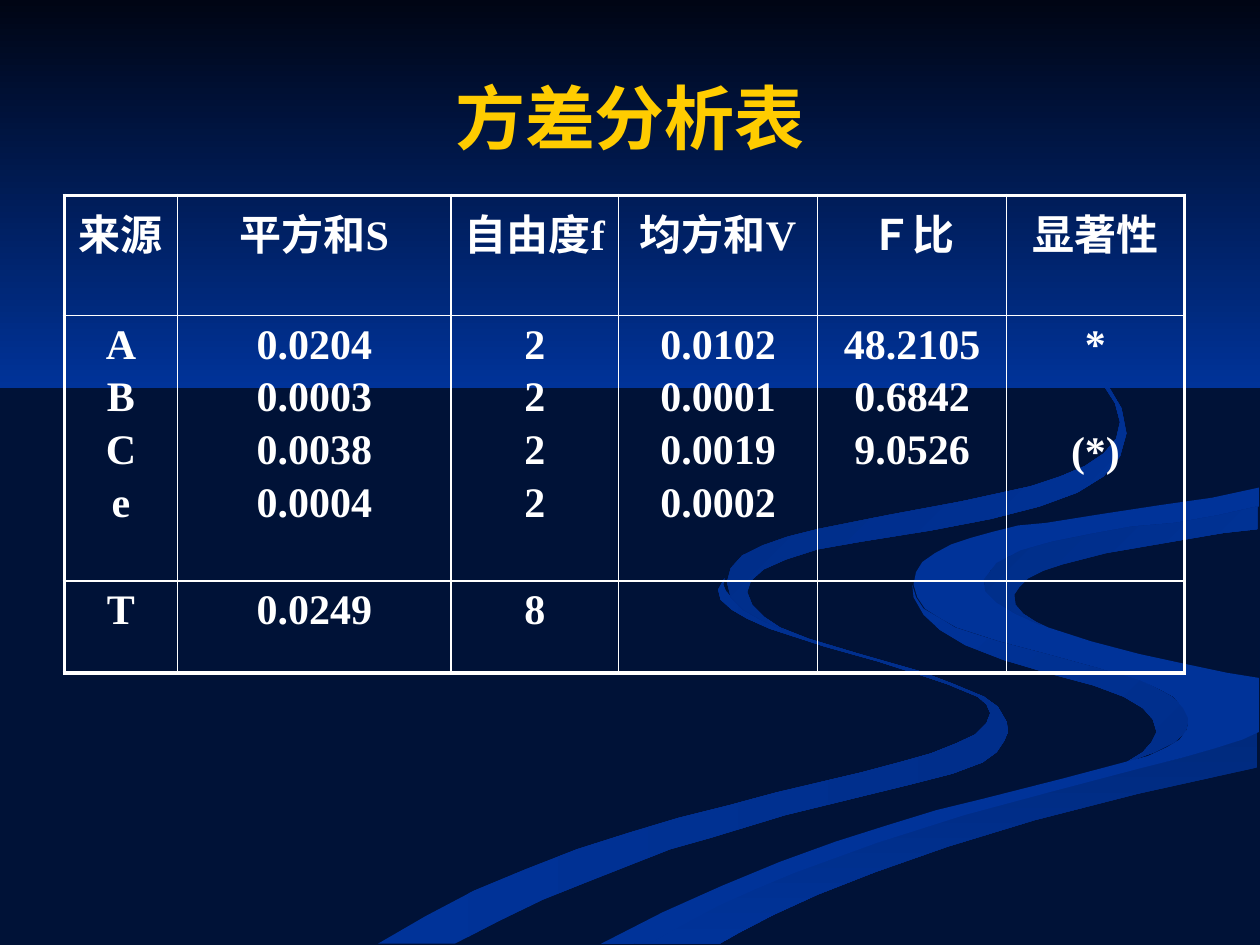
from lxml import etree
from pptx import Presentation
from pptx.dml.color import RGBColor
from pptx.enum.text import MSO_ANCHOR, PP_ALIGN
from pptx.oxml.ns import qn
from pptx.util import Inches, Pt

CENTER, MIDDLE = PP_ALIGN.CENTER, MSO_ANCHOR.MIDDLE
FONT = "Times New Roman"
HEX = {"navy": "001237", "blue": "003399", "deep": "002E8B", "dusk": "002A7D",
       "shade": "002D86", "dim": "002B82", "night": "000514",
       "gold": "FFCC00", "white": "FFFFFF"}

# Content
TITLE = "方差分析表"
ROWS = [
    [["来源"], ["平方和S"], ["自由度f"], ["均方和V"], ["Ｆ比"], ["显著性"]],
    [["A", "B", "C", "e"], ["0.0204", "0.0003", "0.0038", "0.0004"],
     ["2", "2", "2", "2"], ["0.0102", "0.0001", "0.0019", "0.0002"],
     ["48.2105", "0.6842", "9.0526"], ["*", "", "(*)"]],
    [["T"], ["0.0249"], ["8"], [], [], []],
]
WIDTHS = [0.9, 2.17, 1.33, 1.58, 1.5, 1.41]
HEIGHTS = [0.62, 2.11, 0.73]
THIN, THICK = 1, 2.25
GAP, LINE = 3.7, 27.6  # points between and per line of table text

# Backdrop shapes: outline, colours from first to last, clockwise angle
STREAM = [
    (7.81, 5.53), (7.57, 5.43), (7.31, 5.33), (6.82, 5.19), (6.42, 5.07),
    (6.14, 4.96), (5.94, 4.85), (5.83, 4.77), (5.76, 4.69), (5.74, 4.64),
    (5.75, 4.59), (5.7, 4.68), (5.72, 4.76), (5.81, 4.84), (5.93, 4.91),
    (6.11, 4.99), (6.54, 5.13), (6.97, 5.25), (7.28, 5.35), (7.52, 5.43),
    (7.76, 5.53), (7.83, 5.59), (7.86, 5.66), (7.83, 5.74), (7.74, 5.83),
    (7.59, 5.9), (7.39, 5.98), (7.14, 6.05), (6.84, 6.13), (6.16, 6.29),
    (5.79, 6.39), (5.39, 6.49), (4.99, 6.61), (4.58, 6.74), (4.17, 6.9),
    (3.76, 7.07), (3.38, 7.27), (3, 7.49), (3.61, 7.49), (3.96, 7.31),
    (4.31, 7.14), (4.66, 7), (4.99, 6.87), (5.32, 6.74), (5.64, 6.65),
    (6.23, 6.47), (6.76, 6.34), (7.21, 6.23), (7.56, 6.14), (7.8, 6.05),
    (7.91, 5.97), (7.97, 5.88), (8, 5.81), (7.99, 5.73), (7.92, 5.61)]
INNER = [
    (9.43, 5.7), (9.39, 5.62), (9.3, 5.53), (9.19, 5.47), (9.05, 5.4),
    (8.7, 5.3), (8.3, 5.19), (7.92, 5.09), (7.58, 4.98), (7.45, 4.9),
    (7.33, 4.83), (7.27, 4.74), (7.24, 4.64), (7.25, 4.74), (7.33, 4.88),
    (7.46, 5), (7.66, 5.12), (7.97, 5.24), (8.38, 5.36), (8.68, 5.44),
    (8.92, 5.53), (9.07, 5.62), (9.15, 5.71), (9.18, 5.81), (9.14, 5.89),
    (9.07, 5.97), (8.94, 6.05), (9.16, 5.97), (9.32, 5.89), (9.41, 5.81)]
LOWER = [
    (5.19, 7.47), (5.03, 7.49), (5.71, 7.49), (5.87, 7.4), (6.14, 7.26),
    (6.49, 7.1), (6.95, 6.92), (7.52, 6.72), (8.21, 6.51), (9.03, 6.3),
    (9.98, 6.09), (9.98, 5.81), (9.85, 5.87), (9.63, 5.94), (9.36, 6.02),
    (9.03, 6.1), (8.31, 6.29), (7.64, 6.47), (6.96, 6.69), (6.3, 6.93),
    (5.99, 7.06), (5.69, 7.19), (5.43, 7.33)]
RIVER = [
    (7.25, 4.64), (7.28, 4.74), (7.34, 4.83), (7.45, 4.9), (7.59, 4.98),
    (7.93, 5.09), (8.31, 5.19), (8.71, 5.3), (9.05, 5.4), (9.2, 5.47),
    (9.31, 5.53), (9.39, 5.62), (9.43, 5.7), (9.42, 5.79), (9.36, 5.87),
    (9.26, 5.93), (9.11, 6), (8.92, 6.05), (8.43, 6.18), (7.8, 6.34),
    (7.43, 6.43), (7.04, 6.55), (6.63, 6.68), (6.19, 6.84), (5.73, 7.03),
    (5.26, 7.24), (4.77, 7.49), (5.03, 7.49), (5.19, 7.47), (5.44, 7.33),
    (5.7, 7.19), (5.99, 7.06), (6.3, 6.93), (6.96, 6.69), (7.65, 6.47),
    (8.32, 6.29), (9.04, 6.1), (9.36, 6.02), (9.64, 5.94), (9.86, 5.87),
    (9.99, 5.81), (9.99, 5.38), (9.74, 5.34), (9.41, 5.27), (9.04, 5.19),
    (8.66, 5.09), (8.32, 4.98), (8.04, 4.85), (7.86, 4.73), (7.81, 4.63),
    (7.86, 4.53), (8, 4.42), (8.22, 4.34), (8.5, 4.27), (8.99, 4.18),
    (9.33, 4.15), (9.68, 4.09), (9.99, 4.02), (9.99, 3.87), (9.62, 3.95),
    (9.2, 4.01), (8.74, 4.08), (8.3, 4.15), (8.08, 4.17), (7.88, 4.22),
    (7.7, 4.27), (7.55, 4.32), (7.42, 4.39), (7.32, 4.46), (7.27, 4.54)]
BEND = [
    (7.81, 4.6), (7.82, 4.69), (7.91, 4.78), (8.06, 4.87), (8.26, 4.96),
    (8.12, 4.87), (8.06, 4.8), (8.05, 4.72), (8.09, 4.66), (8.16, 4.59),
    (8.28, 4.53), (8.43, 4.48), (8.78, 4.39), (9.36, 4.29), (9.71, 4.23),
    (9.98, 4.2), (9.98, 4.02), (9.67, 4.09), (9.33, 4.15), (8.98, 4.18),
    (8.65, 4.24), (8.35, 4.3), (8.1, 4.37), (7.91, 4.47)]
SPRING = [
    (6.83, 4.3), (7.39, 4.21), (7.86, 4.12), (8.25, 4.02), (8.55, 3.91),
    (8.76, 3.78), (8.89, 3.62), (8.94, 3.44), (8.9, 3.24), (8.8, 3.07),
    (8.64, 2.91), (8.43, 2.75), (8.21, 2.61), (7.99, 2.5), (7.8, 2.41),
    (7.62, 2.33), (8.05, 2.54), (8.46, 2.79), (8.62, 2.92), (8.76, 3.06),
    (8.85, 3.2), (8.89, 3.35), (8.86, 3.48), (8.76, 3.6), (8.61, 3.7),
    (8.42, 3.78), (8.18, 3.86), (7.63, 3.98), (7.04, 4.09), (6.49, 4.2),
    (6.25, 4.26), (6.05, 4.33), (5.89, 4.41), (5.8, 4.51), (5.77, 4.62),
    (5.8, 4.74), (5.9, 4.84), (6.04, 4.92), (6.22, 5), (6.07, 4.9),
    (5.97, 4.8), (5.93, 4.7), (5.96, 4.61), (6.06, 4.52), (6.24, 4.44),
    (6.49, 4.36)]
SKY = [(0, 0), (0, 3.08), (10, 3.08), (10, 0)]
SHAPES = [
    (STREAM, ("blue", "deep"), 0), (INNER, ("blue", "deep"), 45),
    (LOWER, ("dusk", "blue"), 90), (RIVER, ("blue",), 0),
    (BEND, ("shade", "blue"), 45), (SPRING, ("dim", "blue"), 45),
    (SKY, ("night", "blue"), 90)]


def rgb(name):
    return RGBColor.from_string(HEX[name])


def write(frame, lines, size=24, color="white"):
    """Fill a frame; an empty line widens the gap before the next one."""
    used, space = 0, 0
    for line in lines:
        if line:
            para = frame.paragraphs[0] if not used else frame.add_paragraph()
            para.alignment = CENTER
            para.space_before = Pt(space)
            run = para.add_run()
            run.text = line
            font = run.font
            font.name, font.size, font.bold = FONT, Pt(size), True
            font.color.rgb = rgb(color)
            used, space = used + 1, GAP
        else:
            space += LINE + GAP


def draw(slide, points, colors, angle):
    spots = [(Inches(x), Inches(y)) for x, y in points]
    pen = slide.shapes.build_freeform(*spots[0])
    pen.add_line_segments(spots[1:], close=True)
    shape = pen.convert_to_shape()
    shape.shadow.inherit = False
    shape.line.fill.background()
    if len(colors) == 1:
        shape.fill.solid()
        shape.fill.fore_color.rgb = rgb(colors[0])
        return
    shape.fill.gradient()
    shape.fill.gradient_angle = 360 - angle
    for stop, color in zip(shape.fill.gradient_stops, colors):
        stop.color.rgb = rgb(color)


def edge(cell, sides):
    props = cell._tc.get_or_add_tcPr()
    for i, (side, width) in enumerate(sides.items()):
        line = etree.Element(qn("a:ln" + side), w=str(Pt(width)))
        fill = etree.SubElement(line, qn("a:solidFill"))
        etree.SubElement(fill, qn("a:srgbClr"), val=HEX["white"])
        props.insert(i, line)


def main():
    deck = Presentation()
    deck.slide_width, deck.slide_height = Inches(10), Inches(7.5)
    slide = deck.slides.add_slide(deck.slide_layouts[5])

    # Backdrop
    slide.background.fill.solid()
    slide.background.fill.fore_color.rgb = rgb("navy")
    for points, colors, angle in SHAPES:
        draw(slide, points, colors, angle)

    # Title, brought in front of the backdrop
    title = slide.shapes.title
    title.left, title.top = Inches(0.5), Inches(0.3)
    title.width, title.height = Inches(9), Inches(1.25)
    title.text_frame.vertical_anchor = MIDDLE
    write(title.text_frame, [TITLE], size=40, color="gold")
    slide.shapes._spTree.append(title._element)

    # Table
    rows, cols = len(HEIGHTS), len(WIDTHS)
    table = slide.shapes.add_table(
        rows, cols, Inches(0.51), Inches(1.55),
        Inches(sum(WIDTHS)), Inches(sum(HEIGHTS))).table
    table.first_row = table.horz_banding = False
    for col, width in zip(table.columns, WIDTHS):
        col.width = Inches(width)
    for r, (row, height) in enumerate(zip(ROWS, HEIGHTS)):
        table.rows[r].height = Inches(height)
        for c, lines in enumerate(row):
            cell = table.cell(r, c)
            cell.fill.background()
            write(cell.text_frame, lines)
            edge(cell, {"L": THIN if c else THICK,
                        "R": THICK if c == cols - 1 else THIN,
                        "T": THIN if r else THICK,
                        "B": THICK if r == rows - 1 else THIN})
    deck.save("out.pptx")


if __name__ == "__main__":
    main()
